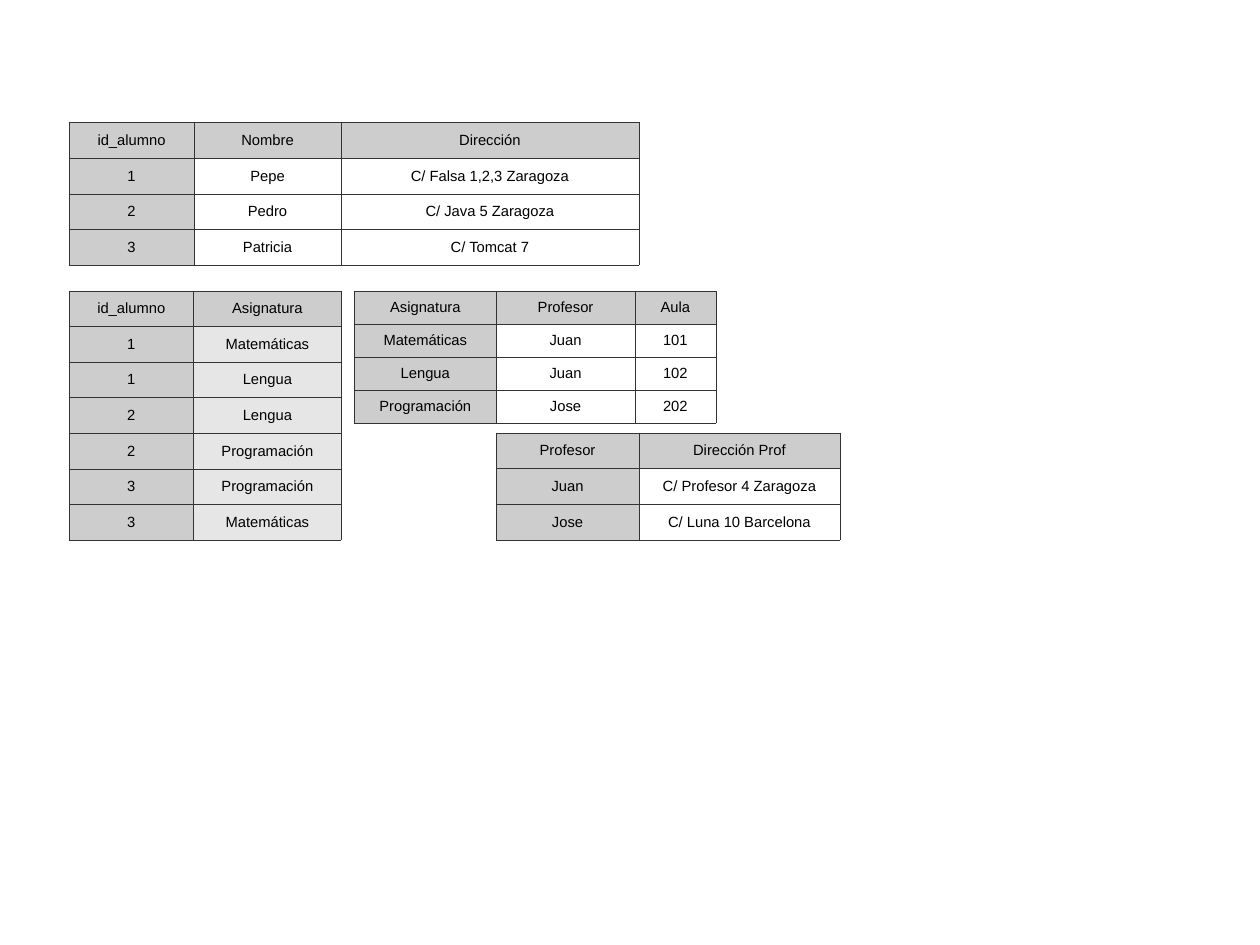
from lxml import etree
from pptx import Presentation
from pptx.dml.color import RGBColor
from pptx.enum.text import MSO_ANCHOR, PP_ALIGN
from pptx.oxml.ns import qn
from pptx.util import Pt

KEY_GREY = RGBColor(0xCD, 0xCD, 0xCD)
LIGHT_GREY = RGBColor(0xE6, 0xE6, 0xE6)
BORDER = RGBColor(0x33, 0x33, 0x33)
BLACK = RGBColor(0, 0, 0)
CENTER = PP_ALIGN.CENTER
MIDDLE = MSO_ANCHOR.MIDDLE

# left, top, row height, column widths, body fill, rows
TABLES = [
    (56.2, 99.4, 29, [101.4, 119.6, 241.9], None, [
        ["id_alumno", "Nombre", "Dirección"],
        ["1", "Pepe", "C/ Falsa 1,2,3 Zaragoza"],
        ["2", "Pedro", "C/ Java 5 Zaragoza"],
        ["3", "Patricia", "C/ Tomcat 7"],
    ]),
    (56.2, 236.2, 28.9, [101, 120.2], LIGHT_GREY, [
        ["id_alumno", "Asignatura"],
        ["1", "Matemáticas"],
        ["1", "Lengua"],
        ["2", "Lengua"],
        ["2", "Programación"],
        ["3", "Programación"],
        ["3", "Matemáticas"],
    ]),
    (288, 236.2, 26.8, [115.3, 112.6, 65.8], None, [
        ["Asignatura", "Profesor", "Aula"],
        ["Matemáticas", "Juan", "101"],
        ["Lengua", "Juan", "102"],
        ["Programación", "Jose", "202"],
    ]),
    (403.2, 351.4, 29, [116, 163.4], None, [
        ["Profesor", "Dirección Prof"],
        ["Juan", "C/ Profesor 4 Zaragoza"],
        ["Jose", "C/ Luna 10 Barcelona"],
    ]),
]


def add_borders(cell):
    tc_pr = cell._tc.get_or_add_tcPr()
    for side in ("a:lnL", "a:lnR", "a:lnT", "a:lnB"):
        ln = etree.SubElement(tc_pr, qn(side), w=str(Pt(0.11)))
        fill = etree.SubElement(ln, qn("a:solidFill"))
        etree.SubElement(fill, qn("a:srgbClr"), val=str(BORDER))


prs = Presentation()
prs.slide_width, prs.slide_height = Pt(1023.84), Pt(767.52)
s = prs.slides.add_slide(prs.slide_layouts[6])

for left, top, row_height, widths, body_fill, rows in TABLES:
    frame = s.shapes.add_table(len(rows), len(widths), Pt(left), Pt(top),
                               Pt(sum(widths)), Pt(row_height * len(rows)))
    table = frame.table
    table.first_row = False
    table.horz_banding = False
    for column, width in zip(table.columns, widths):
        column.width = Pt(width)
    for i, texts in enumerate(rows):
        table.rows[i].height = Pt(row_height)
        for j, text in enumerate(texts):
            cell = table.cell(i, j)
            cell.vertical_anchor = MIDDLE
            cell.margin_left = cell.margin_right = Pt(4.3)
            cell.margin_top = cell.margin_bottom = Pt(3.6)
            add_borders(cell)
            color = KEY_GREY if i == 0 or j == 0 else body_fill
            if color is None:
                cell.fill.background()
            else:
                cell.fill.solid()
                cell.fill.fore_color.rgb = color
            p = cell.text_frame.paragraphs[0]
            p.alignment = CENTER
            r = p.add_run()
            r.text = text
            r.font.name = "Arial"
            r.font.size = Pt(12)
            r.font.color.rgb = BLACK

prs.save("out.pptx")
